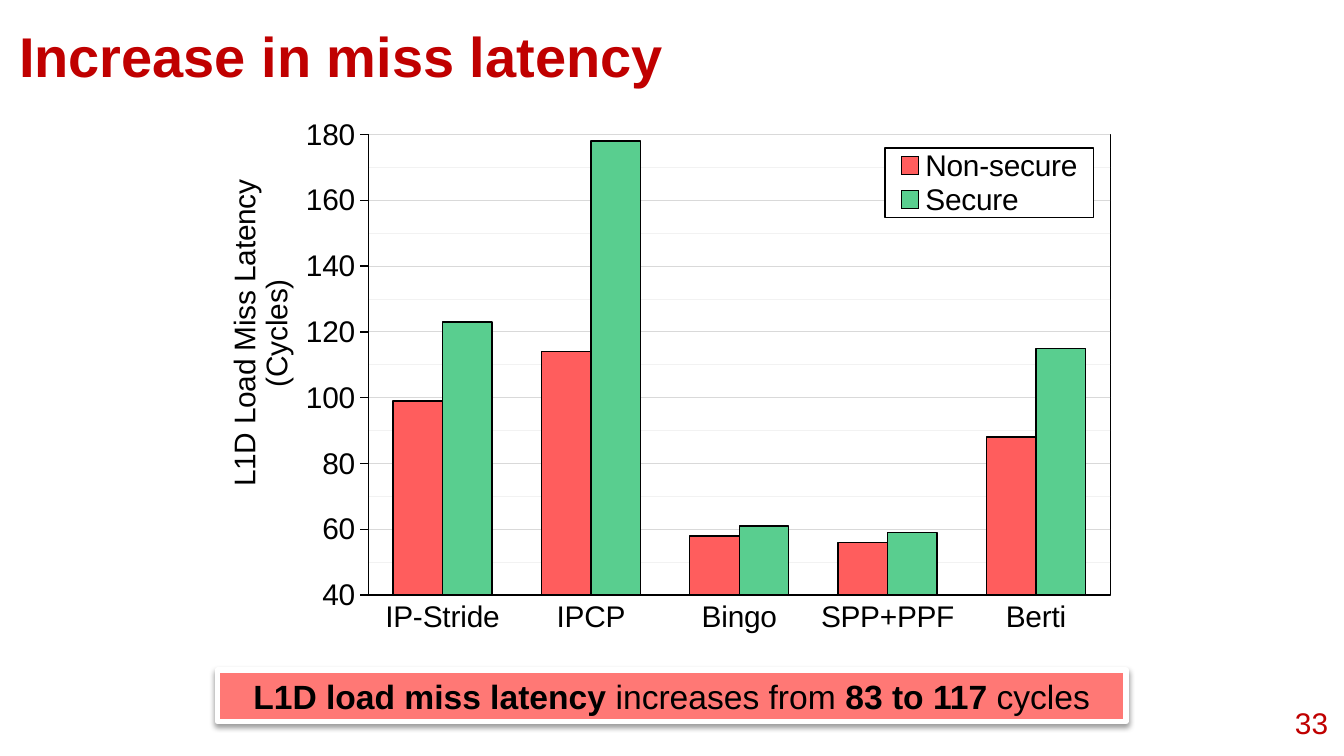
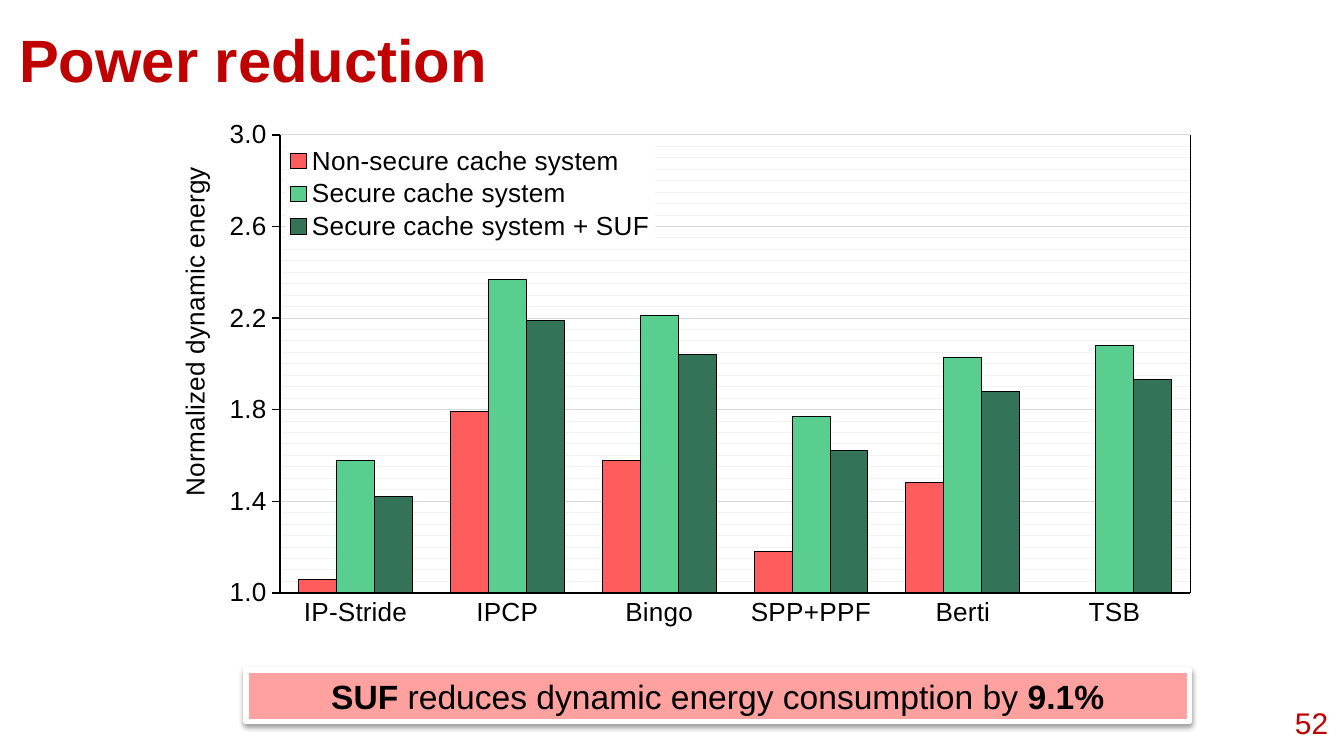
from lxml import etree
from pptx import Presentation
from pptx.chart.data import CategoryChartData
from pptx.dml.color import RGBColor
from pptx.enum import chart as ch, shapes, text
from pptx.oxml import parse_xml
from pptx.oxml.ns import nsdecls, qn
from pptx.util import Cm, Pt

FONT = "Arial"
BLACK = RGBColor(0x00, 0x00, 0x00)
WHITE = RGBColor(0xFF, 0xFF, 0xFF)
DARK_RED = RGBColor(0xC0, 0x00, 0x00)
RED = RGBColor(0xFF, 0x5D, 0x5D)
GREEN = RGBColor(0x59, 0xCE, 0x8F)
DARK_GREEN = RGBColor(0x33, 0x73, 0x57)
CORAL = RGBColor(0xFF, 0x78, 0x75)
PINK = RGBColor(0xFF, 0xA1, 0x9F)
GRID = RGBColor(0xD9, 0xD9, 0xD9)
MINOR_GRID = RGBColor(0xF2, 0xF2, 0xF2)

PREFETCHERS = ["IP-Stride", "IPCP", "Bingo", "SPP+PPF", "Berti"]


def write(tf, runs, size=16, color=BLACK, align=text.PP_ALIGN.LEFT,
          anchor=text.MSO_ANCHOR.MIDDLE, inset_x=0.18, inset_y=0.18):
    """Fill a text frame with one paragraph of (text, bold) runs."""
    tf.word_wrap = True
    tf.auto_size = text.MSO_AUTO_SIZE.NONE
    tf.vertical_anchor = anchor
    tf.margin_left = tf.margin_right = Cm(inset_x)
    tf.margin_top = tf.margin_bottom = Cm(inset_y)
    p = tf.paragraphs[0]
    p.alignment = align
    for words, bold in runs:
        r = p.add_run()
        r.text = words
        r.font.name, r.font.size, r.font.bold = FONT, Pt(size), bold
        r.font.color.rgb = color


def set_line(line, color, width):
    line.color.rgb = color
    line.width = Pt(width)


def place(el, after, x, y, w=None, h=None, inner=False):
    """Give a chart part a manual layout, in fractions of the chart."""
    for old in el.findall(qn("c:layout")):
        el.remove(old)
    values = [("layoutTarget", "inner")] if inner else []
    values += [("xMode", "edge"), ("yMode", "edge"), ("x", x), ("y", y)]
    if w:
        values += [("w", w), ("h", h)]
    layout = etree.Element(qn("c:layout"))
    manual = etree.SubElement(layout, qn("c:manualLayout"))
    for tag, value in values:
        etree.SubElement(manual, qn(f"c:{tag}")).set("val", str(value))
    if after:
        el.find(qn(after)).addnext(layout)
    else:
        el.insert(0, layout)


def chart_sppr(fill, line, color=BLACK):
    """Shape properties for a chart part; line is a width in points or 0."""
    def paint(rgb):
        if rgb is None:
            return "<a:noFill/>"
        return f'<a:solidFill><a:srgbClr val="{rgb}"/></a:solidFill>'
    border = paint(color if line else None)
    return parse_xml(f'<c:spPr {nsdecls("c", "a")}>{paint(fill)}'
                     f'<a:ln w="{int(Pt(line))}">{border}</a:ln></c:spPr>')


class Deck:
    def __init__(self):
        self.prs = Presentation()
        self.prs.slide_width, self.prs.slide_height = Cm(25.4), Cm(14.29)
        self.s = None

    def slide(self, title, number, top, size):
        self.s = self.prs.slides.add_slide(self.prs.slide_layouts[5])
        sp = self.s.shapes.title
        sp.left, sp.top, sp.width, sp.height = Cm(0.18), Cm(top), Cm(23.85), Cm(1.6)
        write(sp.text_frame, [(title, True)], size=size, color=DARK_RED,
              anchor=text.MSO_ANCHOR.TOP, inset_y=0.28)
        box = self.s.shapes.add_textbox(Cm(23.5), Cm(13.11), Cm(1.78), Cm(1.09))
        write(box.text_frame, [(number, False)], color=DARK_RED,
              align=text.PP_ALIGN.RIGHT)

    def banner(self, left, width, fill, runs):
        sp = self.s.shapes.add_shape(shapes.MSO_SHAPE.RECTANGLE, Cm(left),
                                     Cm(12.67), Cm(width), Cm(0.97))
        sp.fill.solid()
        sp.fill.fore_color.rgb = fill
        set_line(sp.line, WHITE, 3)
        sp.shadow.inherit = False
        effects = sp._element.spPr.find(qn("a:effectLst"))
        effects.append(parse_xml(
            f'<a:outerShdw {nsdecls("a")} blurRad="{int(Pt(3.1))}" '
            f'dist="{int(Pt(1.6))}" dir="5400000" rotWithShape="0">'
            '<a:srgbClr val="000000"><a:alpha val="38000"/></a:srgbClr>'
            '</a:outerShdw>'))
        write(sp.text_frame, runs, size=18, align=text.PP_ALIGN.CENTER, inset_y=0.1)

    def line(self, x1, y1, x2, y2):
        c = self.s.shapes.add_connector(shapes.MSO_CONNECTOR.STRAIGHT, x1, y1, x2, y2)
        set_line(c.line, BLACK, 0.75)
        etree.SubElement(c._element.spPr, qn("a:effectLst"))

    def chart(self, box, cats, series, plot, size, bar_line, scale, fmt, title,
              title_at, legend_pos, legend_at, framed):
        data = CategoryChartData()
        data.categories = cats
        for name, _, values in series:
            data.add_series(name, values)
        frame = self.s.shapes.add_chart(ch.XL_CHART_TYPE.COLUMN_CLUSTERED,
                                        *map(Cm, box), data)
        chart = frame.chart
        chart.has_title = False
        chart.font.name, chart.font.size = FONT, Pt(size)
        chart.font.color.rgb = BLACK

        # Bars
        bars = chart.plots[0]
        bars.gap_width, bars.overlap, bars.vary_by_categories = 100, 0, False
        for bar, (_, color, _) in zip(bars.series, series):
            bar.invert_if_negative = False
            bar.format.fill.solid()
            bar.format.fill.fore_color.rgb = color
            set_line(bar.format.line, BLACK, bar_line)

        # Axes
        cat, val = chart.category_axis, chart.value_axis
        cat.major_tick_mark = ch.XL_TICK_MARK.NONE
        val.major_tick_mark = ch.XL_TICK_MARK.OUTSIDE
        for axis in (cat, val):
            axis.minor_tick_mark = ch.XL_TICK_MARK.NONE
            set_line(axis.format.line, BLACK, 0.75)
        val.minimum_scale, val.maximum_scale, val.major_unit, val.minor_unit = scale
        val.has_major_gridlines = val.has_minor_gridlines = True
        set_line(val.major_gridlines.format.line, GRID, 0.5)
        val._element.find(qn("c:minorGridlines")).append(
            chart_sppr(None, 0.5, MINOR_GRID))
        val.tick_labels.number_format = fmt
        val.tick_labels.number_format_is_linked = False
        tf = val.axis_title.text_frame
        tf.text = title
        tf._txBody.bodyPr.set("rot", "-5400000")
        tf._txBody.bodyPr.set("vert", "horz")
        for p in tf.paragraphs:
            f = p.runs[0].font
            f.name, f.size, f.bold = FONT, Pt(size), False
            f.color.rgb = BLACK
        place(val.axis_title._element, "c:tx", *title_at)

        # Legend
        chart.has_legend = True
        legend = chart.legend
        legend.position = legend_pos
        legend.include_in_layout = False
        place(legend._element, "c:legendPos", *legend_at)
        legend._element.find(qn("c:overlay")).addnext(
            chart_sppr(WHITE, 0.75 if framed else 0))

        # Plot area and background
        space = chart._chartSpace
        area = space.xpath("c:chart/c:plotArea")[0]
        place(area, None, *plot, inner=True)
        area.append(chart_sppr(None, 0.75 if framed else 0))
        space.find(qn("c:chart")).addnext(chart_sppr(WHITE, 0))
        if not framed:
            left, top, width, height = box
            x, y, w, h = plot
            right = Cm(left + width * (x + w))
            self.line(right, Cm(top + height * y), right, Cm(top + height * (y + h)))


def main():
    deck = Deck()

    # Miss latency
    deck.slide("Increase in miss latency", "33", top=0.13, size=30)
    deck.banner(4.11, 17.17, CORAL, [
        ("L1D load miss latency", True), (" increases from ", False),
        ("83 to 117", True), (" cycles", False)])
    deck.chart(
        (3.84, 2.11, 17.73, 10.08), PREFETCHERS,
        [("Non-secure", RED, [99, 114, 58, 56, 88]),
         ("Secure", GREEN, [123, 178, 61, 59, 115])],
        plot=(0.176, 0.043, 0.791, 0.864), size=16, bar_line=0.75,
        scale=(40, 180, 20, 10), fmt="0",
        title="L1D Load Miss Latency\n(Cycles)", title_at=(0.02, 0.12),
        legend_pos=ch.XL_LEGEND_POSITION.CORNER,
        legend_at=(0.727, 0.068, 0.222, 0.131), framed=True)

    # Power
    deck.slide("Power reduction", "52", top=0.15, size=32)
    deck.banner(4.65, 17.83, PINK, [
        ("SUF ", True), ("reduces dynamic energy consumption by ", False),
        ("9.1%", True)])
    deck.chart(
        (2.87, 2.06, 19.99, 10.01), PREFETCHERS + ["TSB"],
        [("Non-secure cache system", RED, [1.06, 1.79, 1.58, 1.18, 1.48, None]),
         ("Secure cache system", GREEN, [1.58, 2.37, 2.21, 1.77, 2.03, 2.08]),
         ("Secure cache system + SUF", DARK_GREEN,
          [1.42, 2.19, 2.04, 1.62, 1.88, 1.93])],
        plot=(0.121, 0.049, 0.861, 0.865), size=14, bar_line=0.5,
        scale=(1, 3, 0.4, 0.05), fmt="[$-409]0.0",
        title="Normalized dynamic energy", title_at=(0.02, 0.1),
        legend_pos=ch.XL_LEGEND_POSITION.TOP,
        legend_at=(0.126, 0.064, 0.35, 0.193), framed=False)

    deck.prs.save("out.pptx")


if __name__ == "__main__":
    main()
